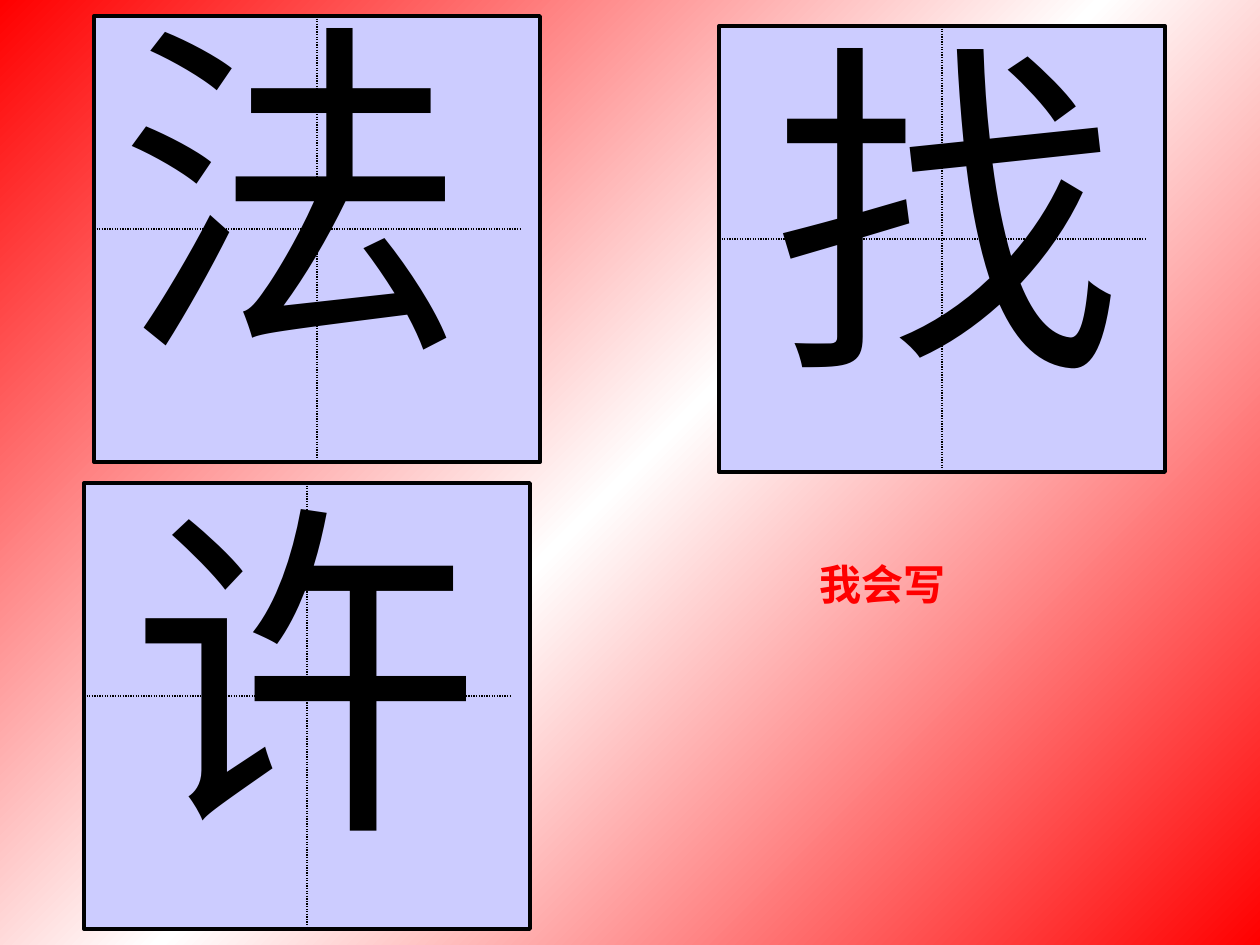
import copy
import pptx
import pptx.util
import pptx.dml.color
import pptx.enum.dml
import pptx.enum.shapes
import pptx.enum.text
import pptx.oxml
import pptx.oxml.ns

SCALE = 914400 / 126
SIDE = 446


def px(*nums):
    return [pptx.util.Emu(round(n * SCALE)) for n in nums]


def write(shape, text, size, color, font, bold=False, align="LEFT", fit="NONE"):
    frame = shape.text_frame
    frame.word_wrap = True
    frame.auto_size = getattr(pptx.enum.text.MSO_AUTO_SIZE, fit)
    frame.vertical_anchor = pptx.enum.text.MSO_ANCHOR.TOP
    para = frame.paragraphs[0]
    para.alignment = getattr(pptx.enum.text.PP_ALIGN, align)
    run = para.add_run()
    run.text = text
    run.font.size = pptx.util.Pt(size)
    run.font.bold = bold
    run.font.name = font
    run.font.color.rgb = pptx.dml.color.RGBColor.from_string(color)
    east = pptx.oxml.parse_xml(
        f'<a:ea {pptx.oxml.ns.nsdecls("a")} typeface="Noto Sans CJK SC"/>')
    run.font._element.find(pptx.oxml.ns.qn("a:latin")).addnext(east)


deck = pptx.Presentation()
deck.slide_width, deck.slide_height = px(1260, 945)
slide = deck.slides.add_slide(deck.slide_layouts[5])

back = slide.background.fill
back.gradient()
back.gradient_angle = 315
stops = slide._element.xpath(".//p:bg//a:gsLst")[0]
stops.append(copy.deepcopy(stops[0]))
for stop, (place, color) in zip(
        back.gradient_stops, [(0, "FF0000"), (0.5, "FFFFFF"), (1, "FF0000")]):
    stop.position = place
    stop.color.rgb = pptx.dml.color.RGBColor.from_string(color)

title = slide.shapes.title
title.left, title.top, title.width, title.height = px(650, 552, 466, 328)
write(title, "我会写", 24, "FF0000", "Noto Sans CJK SC", bold=True, align="CENTER")

tiles = [
    ("找", 719, 26, 759, -14, 441),
    ("法", 94, 16, 105, -34, 397),
    ("许", 84, 483, 118, 447, 462),
]
for glyph, left, top, text_x, text_y, width in tiles:
    group = slide.shapes.add_group_shape()
    tile = group.shapes.add_shape(
        pptx.enum.shapes.MSO_SHAPE.RECTANGLE, *px(left, top, SIDE, SIDE))
    tile.shadow.inherit = False
    tile.fill.solid()
    tile.fill.fore_color.rgb = pptx.dml.color.RGBColor.from_string("CCCCFF")
    tile.line.color.rgb = pptx.dml.color.RGBColor.from_string("000000")
    tile.line.width = pptx.util.Pt(2.25)

    mid = left + SIDE // 2
    row = top + 213
    ends = [(left, row, left + 427, row), (mid, top, mid, top + SIDE)]
    guides = []
    for end in ends:
        guide = group.shapes.add_connector(
            pptx.enum.shapes.MSO_CONNECTOR.STRAIGHT, *px(*end))
        guide.line.color.rgb = pptx.dml.color.RGBColor.from_string("000000")
        guide.line.width = pptx.util.Pt(0.75)
        guide.line.dash_style = pptx.enum.dml.MSO_LINE.ROUND_DOT
        guide._element.spPr.append(pptx.oxml.parse_xml(
            f'<a:effectLst {pptx.oxml.ns.nsdecls("a")}/>'))
        guides.append(guide)
    guides[1].begin_connect(tile, 0)
    guides[1].end_connect(tile, 2)

    box = slide.shapes.add_textbox(*px(text_x, text_y, width, 433))
    write(box, glyph, 200, "000000", "Times New Roman", fit="SHAPE_TO_FIT_TEXT")

deck.save("out.pptx")
